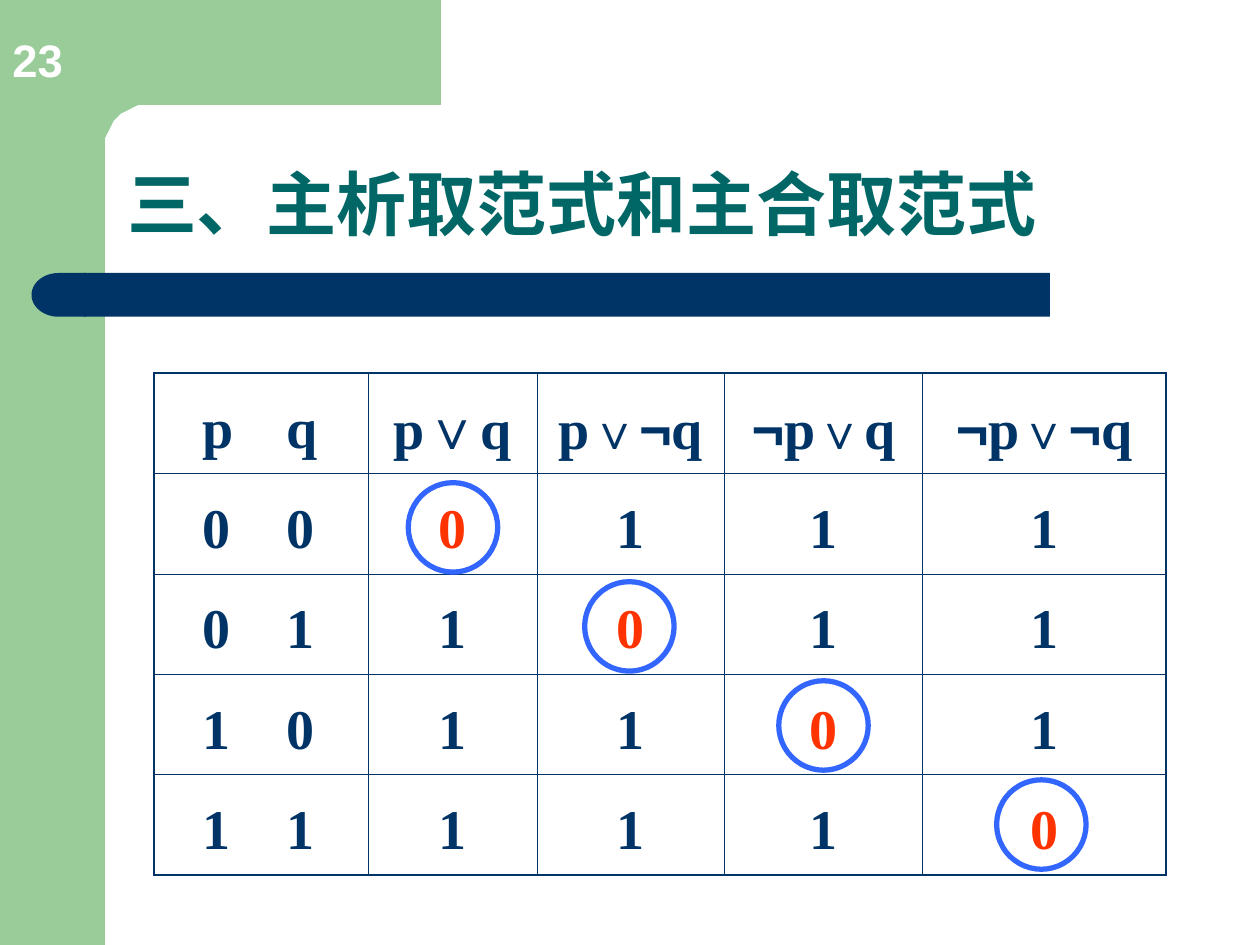
"""Builds a slide with the truth table of the four two-variable maxterms."""
from dataclasses import dataclass
from math import cos, pi, sin

from lxml import etree
from pptx import Presentation
from pptx.dml.color import RGBColor
from pptx.enum.shapes import MSO_SHAPE
from pptx.enum.text import MSO_ANCHOR, PP_ALIGN
from pptx.oxml.ns import qn
from pptx.util import Pt

RECTANGLE = MSO_SHAPE.RECTANGLE
DELAY = MSO_SHAPE.FLOWCHART_DELAY
OVAL = MSO_SHAPE.OVAL
BOTTOM = MSO_ANCHOR.BOTTOM
CENTER = PP_ALIGN.CENTER
LEFT = PP_ALIGN.LEFT


@dataclass(frozen=True)
class Theme:
    green: str = "99CC99"
    navy: str = "003366"
    teal: str = "006666"
    red: str = "FF3300"
    blue: str = "3366FF"
    white: str = "FFFFFF"
    serif: str = "Times New Roman"
    sans: str = "Arial"
    title_size: float = 40
    number_size: float = 26
    cell_size: float = 32
    small_or_size: float = 28
    outer_border: float = 1.08
    inner_border: float = 0.45
    ring_width: float = 3


THEME = Theme()
COLUMN_WIDTHS = (122.4, 96.5, 107.3, 113, 139)
ROW_HEIGHT = 57.4
VARIABLE_INSET = 28
VARIABLE_TAB = 48
RING_SIZE = 51.1
RING_LEFTS = (233.3, 334.1, 445, 569.5)
RING_TOP = 275.8
RING_STEP = 56.6
HEADERS = ("p\tq", "p∨q", "p∨¬q", "¬p∨q", "¬p∨¬q")
ASSIGNMENTS = ("0\t0", "0\t1", "1\t0", "1\t1")


def paint(shape, color):
    """Give a shape a plain fill without line or shadow."""
    shape.shadow.inherit = False
    shape.fill.solid()
    shape.fill.fore_color.rgb = RGBColor.from_string(color)
    shape.line.fill.background()


def style_font(font, name, size, color):
    """Set a bold font with its name, size and colour."""
    font.name, font.size, font.bold = name, Pt(size), True
    font.color.rgb = RGBColor.from_string(color)


def add_block(slide, kind, left, top, width, height, color):
    """Add a filled preset shape."""
    shape = slide.shapes.add_shape(kind, Pt(left), Pt(top), Pt(width), Pt(height))
    paint(shape, color)
    return shape


def add_corner(slide):
    """Add the green top band whose inner corner is rounded."""
    center, radius, steps = 84, 24, 16
    angles = [pi / 2 * step / steps for step in range(steps + 1)]
    arc = [(center - radius * sin(angle), center - radius * cos(angle)) for angle in angles]
    points = [(252, 60), *arc, (60, 92), (36, 92), (36, 0)]
    builder = slide.shapes.build_freeform(252, 0, scale=Pt(1))
    builder.add_line_segments(points, close=True)
    paint(builder.convert_to_shape(), THEME.green)


def add_label(slide, text, box, name, size, color):
    """Add a bottom-anchored line of bold text."""
    frame = slide.shapes.add_textbox(*map(Pt, box)).text_frame
    frame.word_wrap = True
    frame.vertical_anchor = BOTTOM
    frame.text = text
    paragraph = frame.paragraphs[0]
    style_font(paragraph.runs[0].font, name, size, color)
    return paragraph


def add_border(cell, side, width):
    """Draw one side of a cell border."""
    line = etree.SubElement(cell._tc.get_or_add_tcPr(), qn(f"a:ln{side}"), w=str(Pt(width)))
    fill = etree.SubElement(line, qn("a:solidFill"))
    etree.SubElement(fill, qn("a:srgbClr"), val=THEME.navy)


def frame_cell(cell, row, column, last_row, last_column):
    """Border a cell, heavier on the outside of the table, and clear its fill."""
    outside = {"L": column == 0, "R": column == last_column, "T": row == 0, "B": row == last_row}
    for side, is_outer in outside.items():
        add_border(cell, side, THEME.outer_border if is_outer else THEME.inner_border)
    cell.fill.background()


def write_variables(cell, text):
    """Write a pair of variables or values, parted by a tab stop."""
    cell.margin_left = Pt(VARIABLE_INSET)
    cell.text_frame.text = text
    paragraph = cell.text_frame.paragraphs[0]
    paragraph.alignment = LEFT
    paragraph.line_spacing = 1.3
    properties = paragraph._p.get_or_add_pPr()
    tabs = etree.SubElement(properties, qn("a:tabLst"))
    etree.SubElement(tabs, qn("a:tab"), pos=str(Pt(VARIABLE_TAB)), algn="l")
    style_font(paragraph.runs[0].font, THEME.serif, THEME.cell_size, THEME.navy)


def write_formula(cell, text, color):
    """Write a centred formula with its operators in the sans font."""
    paragraph = cell.text_frame.paragraphs[0]
    paragraph.alignment = CENTER
    paragraph.line_spacing = 1.3
    for symbol in text:
        run = paragraph.add_run()
        run.text = symbol
        name = THEME.sans if symbol in "∨¬" else THEME.serif
        is_small = symbol == "∨" and "¬" in text
        style_font(run.font, name, THEME.small_or_size if is_small else THEME.cell_size, color)


def add_truth_table(slide):
    """Add the table, where each maxterm is false on its own row only."""
    rows = [HEADERS]
    for index, assignment in enumerate(ASSIGNMENTS):
        values = ["0" if index == term else "1" for term in range(len(ASSIGNMENTS))]
        rows.append((assignment, *values))
    height = ROW_HEIGHT * len(rows)
    table = slide.shapes.add_table(
        len(rows), len(HEADERS), Pt(88), Pt(213.2), Pt(sum(COLUMN_WIDTHS)), Pt(height)
    ).table
    table.first_row = table.horz_banding = False
    for column, width in zip(table.columns, COLUMN_WIDTHS):
        column.width = Pt(width)
    for row, texts in enumerate(rows):
        table.rows[row].height = Pt(ROW_HEIGHT)
        for column, text in enumerate(texts):
            cell = table.cell(row, column)
            frame_cell(cell, row, column, len(rows) - 1, len(HEADERS) - 1)
            if column == 0:
                write_variables(cell, text)
            else:
                write_formula(cell, text, THEME.red if text == "0" else THEME.navy)


def add_ring(slide, left, top):
    """Add an open circle around a false value."""
    ring = slide.shapes.add_shape(OVAL, Pt(left), Pt(top), Pt(RING_SIZE), Pt(RING_SIZE))
    ring.shadow.inherit = False
    ring.fill.background()
    ring.line.color.rgb = RGBColor.from_string(THEME.blue)
    ring.line.width = Pt(THEME.ring_width)


def main():
    """Build and save the slide."""
    presentation = Presentation()
    presentation.slide_width, presentation.slide_height = Pt(720), Pt(540)
    slide = presentation.slides.add_slide(presentation.slide_layouts[6])
    add_block(slide, RECTANGLE, 0, 0, 60, 540, THEME.green)
    add_corner(slide)
    add_block(slide, RECTANGLE, 48, 156, 552, 25, THEME.navy)
    add_block(slide, DELAY, 18, 156, 31, 25, THEME.navy).rotation = 180
    title = add_label(slide, "三、主析取范式和主合取范式", (65.5, 65.5, 612.7, 78.5),
                      THEME.serif, THEME.title_size, THEME.teal)
    title.line_spacing = 0.9
    add_truth_table(slide)
    for index, left in enumerate(RING_LEFTS):
        add_ring(slide, left, RING_TOP + index * RING_STEP)
    add_label(slide, "23", (0, 15.1, 81.4, 38.2), THEME.sans, THEME.number_size, THEME.white)
    presentation.save("out.pptx")


if __name__ == "__main__":
    main()
